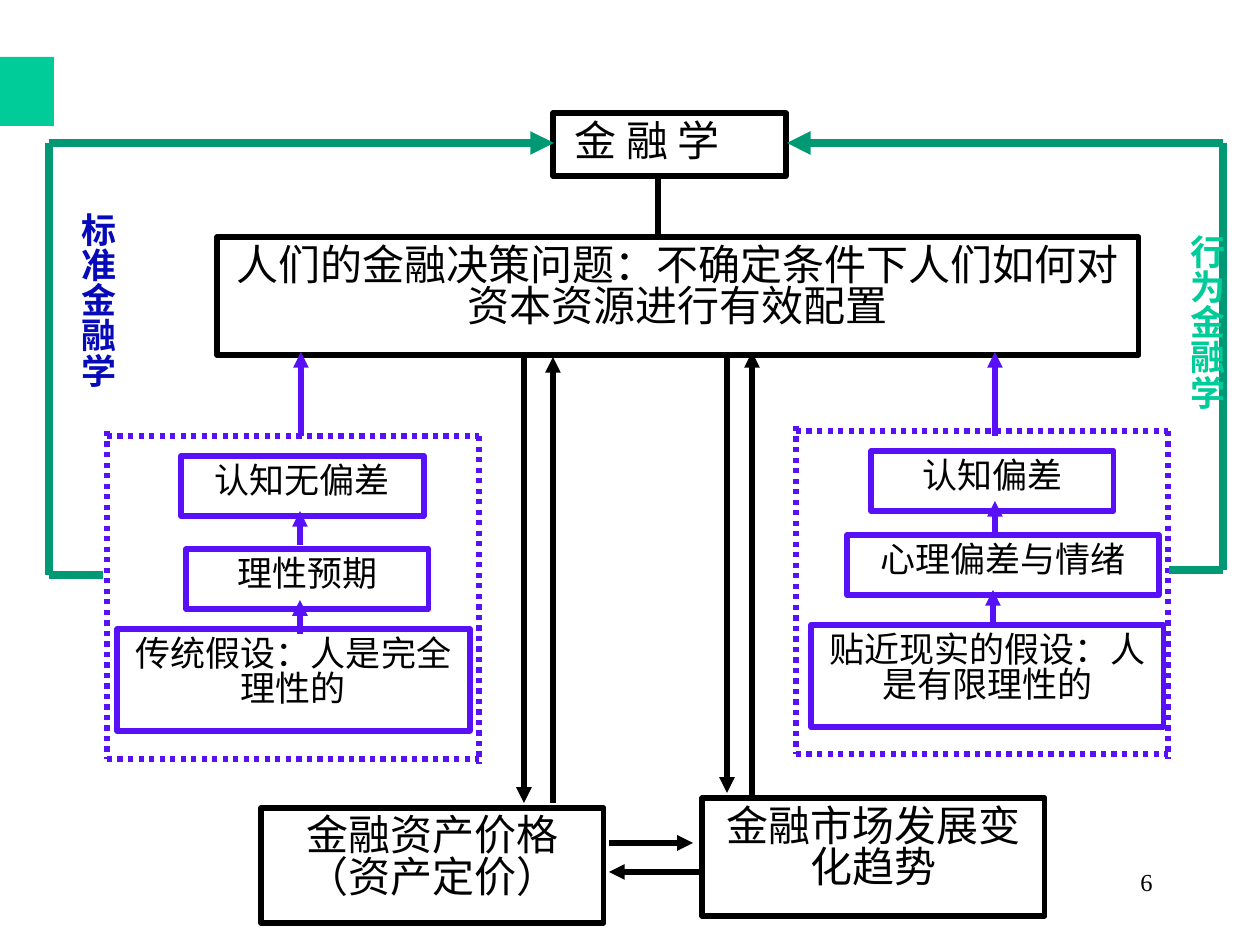
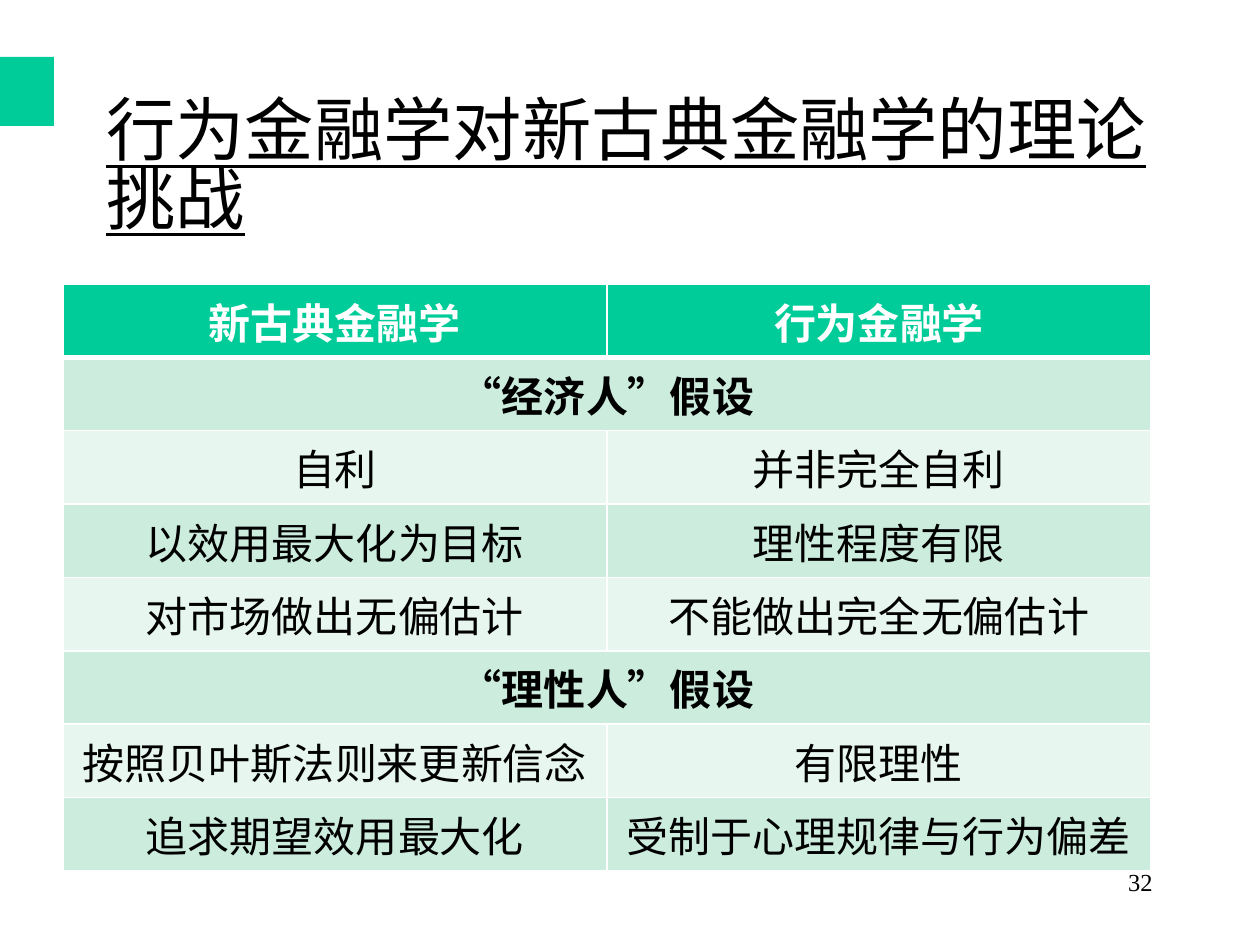
from lxml import etree
from pptx import Presentation
from pptx.dml.color import RGBColor
from pptx.enum.dml import MSO_LINE_DASH_STYLE as Dash
from pptx.enum.shapes import MSO_CONNECTOR as Connector, MSO_SHAPE as Shape
from pptx.enum.text import MSO_ANCHOR as Anchor, PP_ALIGN as Align
from pptx.oxml.ns import qn
from pptx.util import Emu, Pt

SCALE = 914400 // 126
HAN = "Noto Sans CJK SC"
LATIN = "Times New Roman"
TIGHT = 0.82
BLACK = RGBColor(0x00, 0x00, 0x00)
WHITE = RGBColor(0xFF, 0xFF, 0xFF)
GREEN = RGBColor(0x00, 0xCC, 0x99)
DARK_GREEN = RGBColor(0x00, 0x99, 0x73)
VIOLET = RGBColor(0x58, 0x11, 0xF7)
NAVY = RGBColor(0x06, 0x0A, 0xB8)
MINT = RGBColor(0xCC, 0xEC, 0xDE)
PALE_MINT = RGBColor(0xE7, 0xF6, 0xEF)


def px(value):
    return Emu(int(value * SCALE))


def lengths(*values):
    return [px(value) for value in values]


def write(frame, text, size, color=BLACK, align=Align.CENTER, spacing=TIGHT,
          font=HAN, **style):
    for index, line in enumerate(text.split("\n")):
        para = frame.add_paragraph() if index else frame.paragraphs[0]
        para.alignment = align
        if spacing:
            para.line_spacing = spacing
        span = para.add_run()
        span.text = line
        for name, value in {"name": font, "size": Pt(size), **style}.items():
            setattr(span.font, name, value)
        span.font.color.rgb = color
        east_asian = etree.SubElement(span.font._element, qn("a:ea"))
        east_asian.set("typeface", font)


def set_frame(frame, top=10, bottom=2, anchor=Anchor.TOP):
    values = {"word_wrap": True, "vertical_anchor": anchor,
              "margin_top": px(top), "margin_bottom": px(bottom)}
    for name, value in values.items():
        setattr(frame, name, value)


def add_label(page, place, text, size, top=6, bottom=6, anchor=Anchor.TOP, **style):
    box = page.shapes.add_textbox(*lengths(*place))
    set_frame(box.text_frame, top, bottom, anchor)
    write(box.text_frame, text, size, **style)
    return box


def add_vertical_label(page, place, text, color):
    box = add_label(page, place, text, 20, color=color, align=Align.LEFT, bold=True)
    box.text_frame._txBody.bodyPr.set("vert", "eaVert")


def add_box(page, place, text, size=20, color=VIOLET, align=Align.CENTER):
    box = page.shapes.add_shape(Shape.RECTANGLE, *lengths(*place))
    box.shadow.inherit = False
    box.fill.background()
    box.line.color.rgb = color
    box.line.width = Pt(3)
    set_frame(box.text_frame)
    write(box.text_frame, text, size, align=align)


def add_line(page, ends, color=BLACK, width=3, arrow=False, dash=None):
    line = page.shapes.add_connector(Connector.STRAIGHT, *lengths(*ends))
    line.line.color.rgb = color
    line.line.width = Pt(width)
    if dash:
        line.line.dash_style = dash
    if arrow:
        tail = etree.SubElement(line.line._get_or_add_ln(), qn("a:tailEnd"))
        tail.set("type", "triangle")
    etree.SubElement(line._element.spPr, qn("a:effectLst"))


def add_dotted_frame(page, left, top, width=372, height=323):
    right, bottom = left + width, top + height
    for ends in ((left, top - 5, left, bottom), (right, top, right, bottom + 5),
                 (left, top, right, top), (left, bottom, right, bottom)):
        add_line(page, ends, VIOLET, dash=Dash.ROUND_DOT)


def add_path(page, points):
    last = len(points) - 2
    for index, (start, end) in enumerate(zip(points, points[1:])):
        add_line(page, start + end, DARK_GREEN, 4.5, arrow=index == last)


def set_borders(cell, bottom):
    properties = cell._tc.get_or_add_tcPr()
    for index, side in enumerate(("lnL", "lnR", "lnT", "lnB")):
        border = etree.Element(qn("a:" + side))
        border.set("w", str(Pt(bottom if side == "lnB" else 1)))
        fill = etree.SubElement(border, qn("a:solidFill"))
        etree.SubElement(fill, qn("a:srgbClr")).set("val", str(WHITE))
        properties.insert(index, border)


def add_comparison(page, rows, place):
    table = page.shapes.add_table(len(rows), 2, *lengths(*place)).table
    for index, texts in enumerate(rows):
        header, section = index == 0, len(texts) == 1
        fill = GREEN if header else MINT if index % 2 else PALE_MINT
        for column in range(2):
            cell = table.cell(index, column)
            cell.fill.solid()
            cell.fill.fore_color.rgb = fill
            set_borders(cell, 3 if header else 1)
        if section:
            table.cell(index, 0).merge(table.cell(index, 1))
        for column, text in enumerate(texts):
            write(table.cell(index, column).text_frame, text, 24,
                  WHITE if header else BLACK, spacing=None, bold=header or section)


def add_page(deck, number):
    page = deck.slides.add_slide(deck.slide_layouts[6])
    mark = page.shapes.add_shape(Shape.RECTANGLE, *lengths(0, 57, 54, 69))
    mark.shadow.inherit = False
    mark.fill.solid()
    mark.fill.fore_color.rgb = GREEN
    mark.line.fill.background()
    add_label(page, (903, 861, 262, 63), str(number), 14, align=Align.RIGHT,
              spacing=None, font=LATIN)
    return page


def build_framework(deck):
    page = add_page(deck, 6)
    add_box(page, (553, 113, 233, 63), " 金 融 学", 24, BLACK, Align.LEFT)
    add_box(page, (217, 237, 922, 118),
            "人们的金融决策问题：不确定条件下人们如何对资本资源进行有效配置", 24, BLACK)
    add_box(page, (261, 808, 343, 115), "金融资产价格\n（资产定价）", 24, BLACK)
    add_box(page, (702, 798, 343, 118), "金融市场发展变化趋势", 24, BLACK)
    add_line(page, (658, 178, 658, 237))
    for ends in ((524, 352, 524, 803), (553, 803, 553, 357),
                 (727, 357, 727, 793), (752, 798, 752, 352),
                 (609, 843, 693, 843), (702, 872, 609, 872)):
        add_line(page, ends, arrow=True)

    for place, text in (((181, 456, 243, 60), "认知无偏差"),
                        ((186, 549, 243, 60), "理性预期"),
                        ((117, 629, 353, 102), "传统假设：人是完全理性的"),
                        ((871, 451, 243, 60), "认知偏差"),
                        ((847, 535, 312, 60), "心理偏差与情绪"),
                        ((811, 625, 353, 102), "贴近现实的假设：人是有限理性的")):
        add_box(page, place, text)
    for x, start, end in ((300, 634, 600), (300, 545, 511), (301, 436, 352),
                          (993, 624, 590), (995, 535, 501), (995, 436, 352)):
        add_line(page, (x, start, x, end), VIOLET, arrow=True)
    add_dotted_frame(page, 107, 436)
    add_dotted_frame(page, 796, 431)

    add_path(page, ((103, 575), (49, 575), (49, 143), (554, 143)))
    add_path(page, ((1169, 570), (1223, 570), (1223, 143), (787, 143)))
    add_vertical_label(page, (49, 207, 68, 223), "标准金融学", NAVY)
    add_vertical_label(page, (1159, 229, 68, 223), "行为金融学", GREEN)


def build_challenge(deck):
    page = add_page(deck, 32)
    add_label(page, (94, 84, 1071, 158), "行为金融学对新古典金融学的理论挑战", 39.6,
              top=13, bottom=0, anchor=Anchor.MIDDLE, align=Align.LEFT, underline=True)
    rows = (("新古典金融学", "行为金融学"),
            ("“经济人”假设",),
            ("自利", "并非完全自利"),
            ("以效用最大化为目标", "理性程度有限"),
            ("对市场做出无偏估计", "不能做出完全无偏估计"),
            ("“理性人”假设",),
            ("按照贝叶斯法则来更新信念", "有限理性"),
            ("追求期望效用最大化", "受制于心理规律与行为偏差"))
    add_comparison(page, rows, (63, 284, 1088, 587))


def main():
    deck = Presentation()
    deck.slide_width, deck.slide_height = lengths(1260, 945)
    build_framework(deck)
    build_challenge(deck)
    deck.save("out.pptx")


main()
